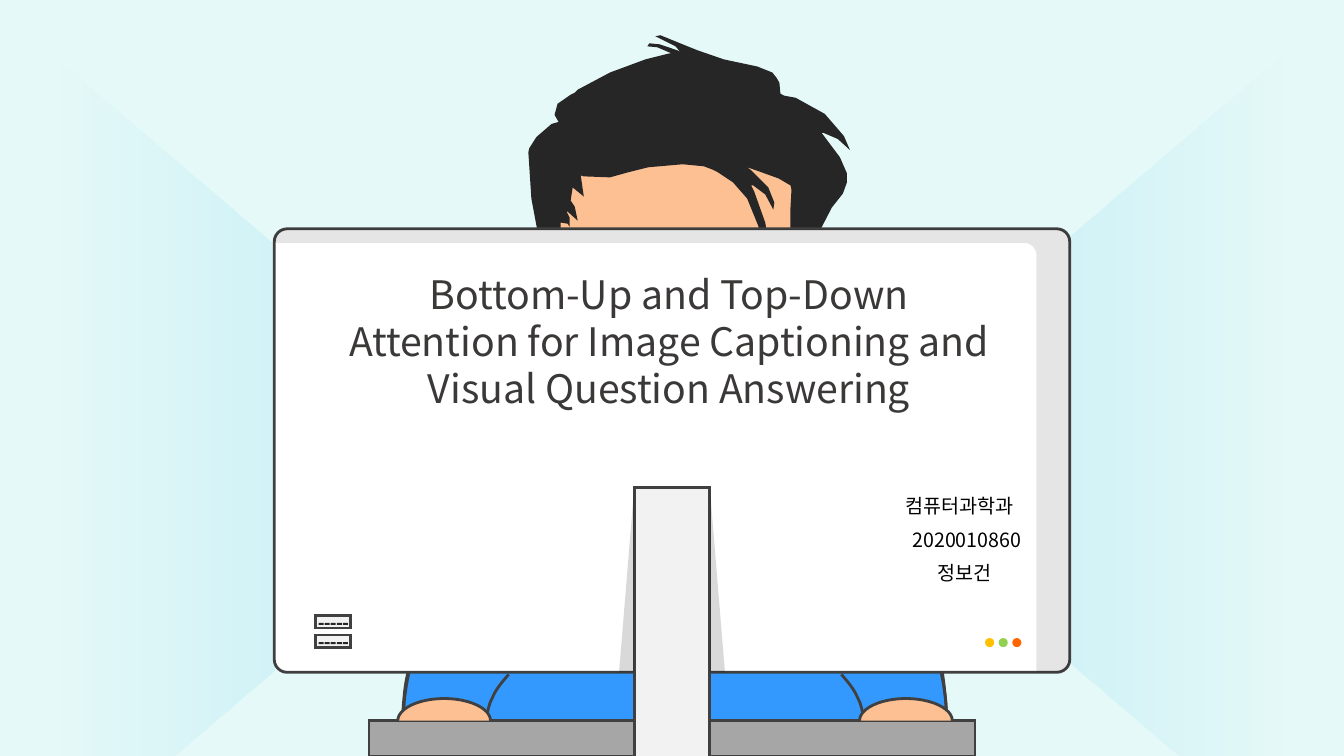
from lxml import etree
from pptx import Presentation
from pptx.dml.color import RGBColor
from pptx.enum.shapes import MSO_SHAPE as SHAPE
from pptx.enum.text import MSO_AUTO_SIZE, PP_ALIGN
from pptx.oxml.ns import qn
from pptx.util import Inches, Pt

FONT = "Noto Sans CJK KR"
COLORS = {
    "background": "E5F9F8", "beam": "00B0F0", "shirt": "3399FF", "skin": "FCC093",
    "hair": "262626", "outline": "404040", "screen": "FFFFFF", "metal": "F2F2F2",
    "desk": "A6A6A6", "shade": "000000", "title": "3B3838", "text": "000000",
    "yellow": "FFC000", "green": "92D050", "orange": "FF6600",
}

# Outlines in inches: a pair is a line to a point, six numbers are a Bézier curve
SHIRT = [
    (3.97, 7.28), (4.01, 7.15, 3.98, 6.72, 4.11, 6.51), (4.25, 6.3, 4.48, 6.11, 4.75, 6.03),
    (5.02, 5.94, 5.18, 6, 5.71, 6), (6.24, 6, 7.37, 6, 7.93, 6.03),
    (8.49, 6.06, 8.84, 6.1, 9.07, 6.18), (9.3, 6.26, 9.26, 6.32, 9.31, 6.49),
    (9.36, 6.67, 9.4, 7.1, 9.39, 7.24), (9.37, 7.38, 9.25, 7.31, 9.19, 7.34),
    (9.14, 7.36, 9.15, 7.4, 9.06, 7.4), (8.96, 7.41, 8.63, 7.38, 8.63, 7.38),
    (6.31, 7.39), (5.57, 7.38, 4.98, 7.35, 4.53, 7.32),
    (4.08, 7.29, 3.94, 7.35, 3.85, 7.34), (3.75, 7.33, 3.92, 7.42, 3.97, 7.28),
]
FACE = [
    (5.44, 1.86), (5.43, 2.06, 5.31, 2.69, 5.47, 2.92), (5.63, 3.14, 6.12, 3.16, 6.42, 3.19),
    (6.72, 3.23, 7.04, 3.19, 7.26, 3.11), (7.49, 3.03, 7.64, 2.86, 7.76, 2.74),
    (7.89, 2.61, 7.96, 2.53, 8.01, 2.38), (8.07, 2.22, 8.13, 1.97, 8.1, 1.81),
    (8.07, 1.65, 8.06, 1.51, 7.83, 1.42), (7.6, 1.33, 7.04, 1.25, 6.71, 1.26),
    (6.38, 1.28, 6.02, 1.44, 5.83, 1.51), (5.64, 1.59, 5.63, 1.65, 5.57, 1.71),
    (5.5, 1.77, 5.46, 1.66, 5.44, 1.86),
]
HAIR = [
    (5.5, 2.97), (5.47, 2.92), (5.4, 2.72), (5.34, 2.37), (5.33, 2.29), (5.27, 1.97),
    (5.24, 1.51), (5.25, 1.47), (5.32, 1.36), (5.47, 1.23), (5.54, 1.21), (5.5, 1.14),
    (5.53, 1.03), (5.66, 0.94), (5.7, 0.92), (5.73, 0.89), (6.05, 0.72), (6.4, 0.59),
    (6.64, 0.53), (6.66, 0.53), (6.52, 0.47), (6.42, 0.46), (6.44, 0.43), (6.54, 0.44),
    (6.72, 0.5), (6.75, 0.52), (6.7, 0.46), (6.5, 0.36), (6.55, 0.35), (6.77, 0.44),
    (6.92, 0.5), (7.18, 0.59), (7.51, 0.66), (7.66, 0.72), (7.7, 0.77), (7.73, 0.82),
    (7.74, 0.93), (7.78, 0.95), (7.89, 0.97), (8.18, 1.13), (8.37, 1.35), (8.43, 1.49),
    (8.31, 1.38), (8.17, 1.32), (8.15, 1.32), (8.18, 1.36), (8.33, 1.56), (8.4, 1.72),
    (8.4, 1.81), (8.36, 1.92), (8.25, 2.06), (8.1, 2.35), (8.03, 2.57), (8.01, 2.71),
    (7.96, 2.92), (7.92, 3.01), (7.9, 3.02), (7.87, 2.99), (7.84, 2.69), (7.84, 2.06),
    (7.85, 1.88), (7.84, 1.84), (7.72, 1.77), (7.47, 1.68), (7.41, 1.66), (7.45, 1.69),
    (7.62, 1.86), (7.68, 2.01), (7.67, 2.08), (7.59, 1.93), (7.47, 1.84), (7.45, 1.84),
    (7.48, 1.9), (7.59, 2.21), (7.61, 2.34), (7.58, 2.41), (7.56, 2.43), (7.52, 2.24),
    (7.41, 1.97), (7.27, 1.81), (7.12, 1.71), (7.06, 1.68), (6.98, 1.65), (6.77, 1.63),
    (6.43, 1.66), (6.23, 1.71), (6.05, 1.76), (5.79, 1.75), (5.76, 1.74), (5.79, 1.95),
    (5.68, 1.86), (5.66, 1.99), (5.7, 2.05), (5.73, 2.19), (5.63, 2.1), (5.62, 2.1),
    (5.65, 2.16), (5.65, 2.25), (5.63, 2.22), (5.57, 2.21), (5.56, 2.21), (5.56, 2.31),
    (5.56, 2.73), (5.54, 2.94),
]
# Sleeve folds, measured from the middle of the desk
FOLDS = [
    [(-1.87, 7.14), (-1.86, 7.06, -1.85, 6.99, -1.81, 6.92), (-1.78, 6.84, -1.71, 6.76, -1.65, 6.69)],
    [(-2.69, 7.14), (-2.69, 7.06, -2.69, 6.99, -2.68, 6.91), (-2.67, 6.84, -2.66, 6.76, -2.64, 6.68)],
]


def rgb(name):
    return RGBColor.from_string(COLORS[name])


def paint(shape, fill, outlined=False, alpha=None):
    shape.shadow.inherit = False
    if fill:
        shape.fill.solid()
        shape.fill.fore_color.rgb = rgb(fill)
        if alpha:
            color = shape.fill._xPr.find(qn("a:solidFill"))[0]
            etree.SubElement(color, qn("a:alpha")).set("val", str(alpha * 1000))
    else:
        shape.fill.background()
    if outlined:
        shape.line.color.rgb = rgb("outline")
        shape.line.width = Pt(2)
        etree.SubElement(shape.line._ln, qn("a:miter")).set("lim", "800000")
    else:
        shape.line.fill.background()
    return shape


def add_preset(parent, kind, left, top, width, height, fill, outlined=False, alpha=None):
    shape = parent.shapes.add_shape(kind, *map(Inches, (left, top, width, height)))
    return paint(shape, fill, outlined, alpha)


def flatten(outline, steps=12):
    points = [outline[0]]
    for part in outline[1:]:
        if len(part) == 2:
            points.append(part)
            continue
        start, controls = points[-1], (part[:2], part[2:4], part[4:])
        for step in range(1, steps + 1):
            t = step / steps
            weights = ((1 - t) ** 3, 3 * t * (1 - t) ** 2, 3 * t * t * (1 - t), t ** 3)
            points.append(tuple(sum(w * p[axis] for w, p in zip(weights, (start, *controls)))
                                for axis in (0, 1)))
    return points


def add_outline(parent, outline, origin, fill=None, outlined=False, alpha=None, mirror=1):
    def place(x, y):
        return Inches(origin[0] + mirror * x), Inches(origin[1] + y)

    # The flattened points fix the frame, then true curves take their place
    points = [place(*point) for point in flatten(outline)]
    builder = parent.shapes.build_freeform(*points[0])
    builder.add_line_segments(points[1:], close=False)
    shape = builder.convert_to_shape()
    curve = next(shape._element.iter(qn("a:path")))
    for segment in list(curve):
        curve.remove(segment)
    for i, part in enumerate(outline):
        tag = "a:moveTo" if i == 0 else "a:lnTo" if len(part) == 2 else "a:cubicBezTo"
        segment = etree.SubElement(curve, qn(tag))
        for x, y in zip(part[::2], part[1::2]):
            x, y = place(x, y)
            point = etree.SubElement(segment, qn("a:pt"))
            point.set("x", str(x - shape.left))
            point.set("y", str(y - shape.top))
    if fill:
        etree.SubElement(curve, qn("a:close"))
    return paint(shape, fill, outlined, alpha)


def add_text(parent, text, left, top, width, height, size, color, align=PP_ALIGN.LEFT):
    frame = parent.shapes.add_textbox(*map(Inches, (left, top, width, height))).text_frame
    frame.word_wrap = True
    frame.auto_size = MSO_AUTO_SIZE.SHAPE_TO_FIT_TEXT
    frame.text = text
    frame.paragraphs[0].alignment = align
    font = frame.paragraphs[0].runs[0].font
    font.name, font.size, font.color.rgb = FONT, Pt(size), rgb(color)
    etree.SubElement(font._element, qn("a:ea")).set("typeface", FONT)


def draw_beam(slide, left, top, width, height, rotation):
    # The trapezoid is turned on its side, so its own width is the beam's height
    beam = add_preset(slide, SHAPE.TRAPEZOID, left + (width - height) / 2,
                      top + (height - width) / 2, height, width, "beam")
    beam.rotation = rotation
    beam.adjustments[0] = 0.857
    beam.fill.gradient()
    beam.fill.gradient_angle = 90
    for stop, position, alpha in zip(beam.fill.gradient_stops, (0, 1), (0, 9)):
        stop.position = position
        stop.color.rgb = rgb("beam")
        etree.SubElement(stop.color._xFill[0], qn("a:alpha")).set("val", str(alpha * 1000))


def draw_person(scene, left, top):
    add_outline(scene, SHIRT, (left, top), "shirt", outlined=True)
    add_outline(scene, FACE, (left, top), "skin")
    add_outline(scene, HAIR, (left, top), "hair")


def draw_monitor(scene, left, top, width, height):
    case = add_preset(scene, SHAPE.ROUNDED_RECTANGLE, left, top, width, height, "screen", True)
    case.adjustments[0] = 0.029


def draw_monitor_details(scene, left, top, width, height):
    # Shaded top and right edge
    r, w, h, inner = 0.13, width, height, width - 0.33
    edge = [(r, 0), (w - r, 0), (w - 0.06, 0, w, 0.06, w, r), (w, h - r),
            (w, h - 0.06, w - 0.06, h, w - r, h), (inner, h), (inner, 0.27),
            (inner, 0.19, inner - 0.05, 0.14, inner - r, 0.14), (0, 0.14), (0, r),
            (0, 0.06, 0.06, 0, r, 0)]
    add_outline(scene, edge, (left, top), "shade", alpha=10)
    # Ports
    for port_top in (top + 3.84, top + 4.03):
        add_preset(scene, SHAPE.RECTANGLE, left + 0.41, port_top, 0.35, 0.12, "metal", True)
        for pin in range(5):
            add_preset(scene, SHAPE.RECTANGLE, left + 0.44 + 0.06 * pin, port_top + 0.07,
                       0.05, 0.02, "hair")
    # Status lights
    for i, light in enumerate(("yellow", "green", "orange")):
        add_preset(scene, SHAPE.OVAL, left + 7.05 + 0.135 * i, top + 4.06, 0.09, 0.09, light)


def draw_desk(scene, left, top, width, height):
    add_preset(scene, SHAPE.RECTANGLE, left, top, width, height, "desk", True)
    # Stand with a shadow on either side
    stand_left, stand_top, stand_width = left + 2.63, top - 2.31, 0.75
    add_preset(scene, SHAPE.RECTANGLE, stand_left, stand_top, stand_width, 2.67, "metal", True)
    for shadow_left, flipped in ((stand_left - 0.15, True), (stand_left + stand_width, False)):
        shadow = add_preset(scene, SHAPE.RIGHT_TRIANGLE, shadow_left, stand_top, 0.15, 1.83,
                            "shade", alpha=15)
        if flipped:
            shadow._element.spPr.xfrm.set("flipH", "1")


def draw_arms(scene, middle, top):
    for mirror in (1, -1):
        for fold in FOLDS:
            add_outline(scene, fold, (middle, top), outlined=True, mirror=mirror)
        hand = add_preset(scene, SHAPE.LEFT_BRACKET, middle - mirror * 2.29 - 0.11,
                          top + 6.58, 0.22, 0.92, "skin", True)
        hand.rotation = 90
        hand.adjustments[0] = 2.142


def write_screen(slide, left, top):
    add_text(slide, "Bottom-Up and Top-Down Attention for Image Captioning and "
             "Visual Question Answering", left + 0.58, top + 0.37, 6.67, 1.51, 28, "title",
             PP_ALIGN.CENTER)
    student = slide.shapes.add_group_shape()
    for parent, text, x, y, width in ((student, "컴퓨터과학과", 6.16, 2.59, 1.39),
                                      (student, "2020010860", 6.23, 2.93, 1.39),
                                      (slide, "정보건", 6.48, 3.26, 0.79)):
        add_text(parent, text, left + x, top + y, width, 0.34, 14, "text")


def main():
    prs = Presentation()
    prs.slide_width, prs.slide_height = Inches(13.33), Inches(7.5)
    slide = prs.slides.add_slide(prs.slide_layouts[6])
    slide.background.fill.solid()
    slide.background.fill.fore_color.rgb = rgb("background")
    draw_beam(slide, 0.47, 0.5, 2.25, 8.08, 90)
    draw_beam(slide, 10.61, 0.42, 2.25, 8.08, 270)
    scene = slide.shapes.add_group_shape()
    monitor_box = (2.72, 2.27, 7.89, 4.4)
    draw_person(scene, 0, 0)
    draw_monitor(scene, *monitor_box)
    draw_desk(scene, 3.66, 7.15, 6.01, 0.35)
    draw_arms(scene, 6.695, 0)
    draw_monitor_details(scene, *monitor_box)
    write_screen(slide, 2.72, 2.26)
    prs.save("out.pptx")


if __name__ == "__main__":
    main()
